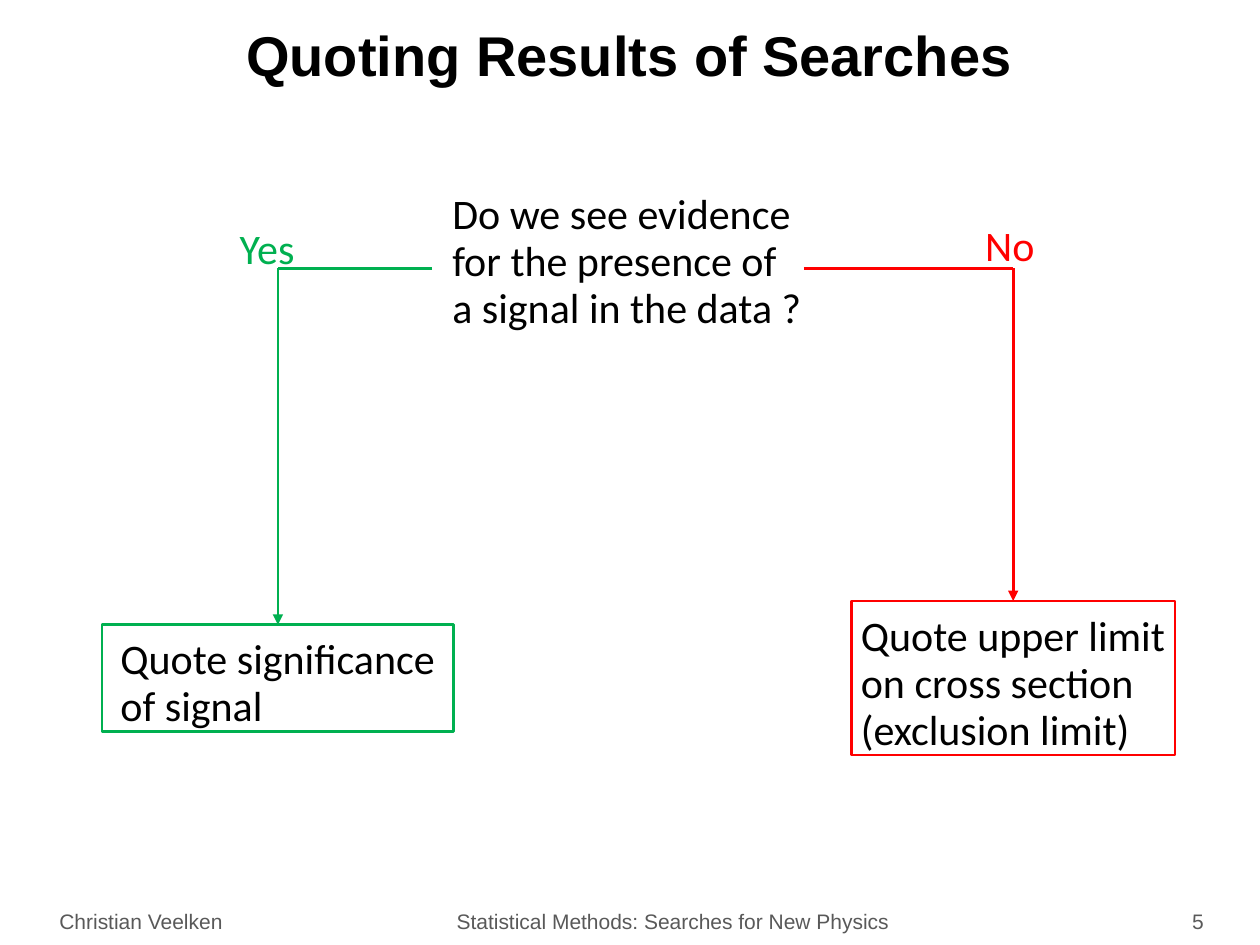
"""Build a slide with a yes/no decision on how to quote search results."""
from lxml import etree
from pptx import Presentation
from pptx.dml.color import RGBColor
from pptx.enum.shapes import MSO_CONNECTOR, MSO_SHAPE
from pptx.enum.text import MSO_ANCHOR, PP_ALIGN
from pptx.oxml.ns import qn
from pptx.util import Pt

STRAIGHT = MSO_CONNECTOR.STRAIGHT
RECTANGLE = MSO_SHAPE.RECTANGLE
MIDDLE, TOP = MSO_ANCHOR.MIDDLE, MSO_ANCHOR.TOP
CENTER, LEFT = PP_ALIGN.CENTER, PP_ALIGN.LEFT

COLORS = {"black": "000000", "grey": "595959", "green": "00B050", "red": "FF0000"}
TITLE = "Quoting Results of Searches"
QUESTION = "Do we see evidence\vfor the presence of\va signal in the data ?"
FOOTER = "Christian Veelken\tStatistical Methods: Searches for New Physics\t5"
FOOTER_TABS = [(227, "l"), (654, "r")]
BRANCH_Y = 153.4
BRANCHES = [
    {"answer": "Yes", "answer_at": (137, 122.5, 54, 34), "color": "green",
     "start_x": 247, "box": (58.3, 357, 201, 61), "inset": 10.5,
     "outcome": ["Quote significance\vof signal"]},
    {"answer": "No", "answer_at": (563, 121, 54, 34), "color": "red",
     "start_x": 459.4, "box": (486.5, 343.5, 185, 88), "inset": 5.4,
     "outcome": ["Quote upper limit\von cross section", "(exclusion limit)"]},
]


def color_of(name):
    return RGBColor.from_string(COLORS[name])


def write(box, lines, size=24, font="Calibri", color="black", bold=False,
          align=LEFT, anchor=TOP, spacing=0.93, insets=(0, 7, 0, 0)):
    frame = box.text_frame
    frame.word_wrap = True
    frame.vertical_anchor = anchor
    (frame.margin_left, frame.margin_top,
     frame.margin_right, frame.margin_bottom) = map(Pt, insets)
    for index, line in enumerate(lines):
        para = frame.add_paragraph() if index else frame.paragraphs[0]
        para.text = line
        para.alignment = align
        para.line_spacing = spacing
        for span in para.runs:
            span.font.size = Pt(size)
            span.font.name = font
            span.font.bold = bold
            span.font.color.rgb = color_of(color)


def add_text(page, place, lines, **style):
    box = page.shapes.add_textbox(*map(Pt, place))
    write(box, lines, **style)
    return box


def add_line(page, ends, color, arrow=False):
    line = page.shapes.add_connector(STRAIGHT, *map(Pt, ends))
    line.line.width = Pt(1.5)
    line.line.color.rgb = color_of(color)
    if arrow:
        etree.SubElement(line.line._get_or_add_ln(), qn("a:tailEnd"), type="triangle")
    etree.SubElement(line._element.spPr, qn("a:effectLst"))
    return line


def add_branch(page, branch):
    left, top, width, height = branch["box"]
    color = branch["color"]
    middle = left + width / 2
    box = page.shapes.add_shape(RECTANGLE, *map(Pt, branch["box"]))
    box.shadow.inherit = False
    box.fill.background()
    box.line.color.rgb = color_of(color)
    box.line.width = Pt(1.5)
    write(box, branch["outcome"], anchor=MIDDLE, insets=(branch["inset"], 7, 0, 0))
    add_line(page, (branch["start_x"], BRANCH_Y, middle, BRANCH_Y), color)
    arrow = add_line(page, (middle, BRANCH_Y, middle, top), color, arrow=True)
    arrow.end_connect(box, 0)
    add_text(page, branch["answer_at"], [branch["answer"]], color=color)


def add_footer(page):
    box = add_text(page, (27.4, 515.5, 692.6, 21), [FOOTER], size=12, font="Arial",
                   color="grey", spacing=1.0, insets=(6.5, 3.6, 6.5, 3.6))
    properties = box.text_frame.paragraphs[0]._p.get_or_add_pPr()
    tabs = etree.SubElement(properties, qn("a:tabLst"))
    for position, align in FOOTER_TABS:
        etree.SubElement(tabs, qn("a:tab"), pos=str(int(Pt(position))), algn=align)


def main():
    deck = Presentation()
    deck.slide_width, deck.slide_height = Pt(720), Pt(540)
    page = deck.slides.add_slide(deck.slide_layouts[6])
    add_text(page, (27.4, 15, 664.6, 37), [TITLE], size=32, font="Arial",
             bold=True, align=CENTER, insets=(0, 0, 0, 0))
    add_text(page, (258.5, 103, 201, 88), [QUESTION])
    for branch in BRANCHES:
        add_branch(page, branch)
    add_footer(page)
    deck.save("out.pptx")


if __name__ == "__main__":
    main()
